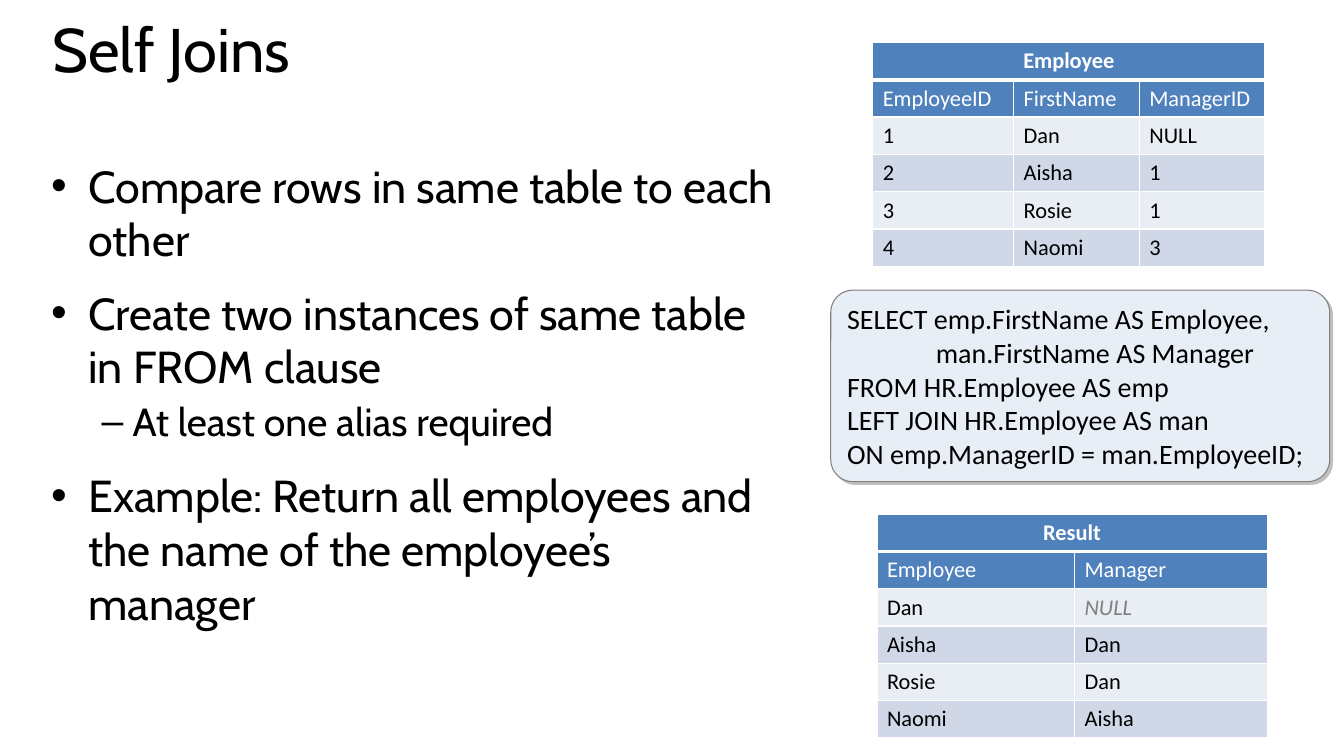
from lxml import etree
from pptx import Presentation
from pptx.dml.color import RGBColor
from pptx.enum.shapes import MSO_SHAPE
from pptx.enum.text import MSO_ANCHOR, MSO_AUTO_SIZE, PP_ALIGN
from pptx.oxml import parse_xml
from pptx.oxml.ns import nsdecls, qn
from pptx.util import Inches, Pt

ROUND = MSO_SHAPE.ROUNDED_RECTANGLE
TOP, MIDDLE = MSO_ANCHOR.TOP, MSO_ANCHOR.MIDDLE
FIXED = MSO_AUTO_SIZE.NONE
LEFT, CENTER = PP_ALIGN.LEFT, PP_ALIGN.CENTER

WIDE, HIGH = Inches(13.33), Inches(7.5)
COLS, ROWS = 32, 18
COLORS = {
    "ink": "000000", "white": "FFFFFF", "head": "4F81BD",
    "light": "E9EDF4", "dark": "D0D8E8", "panel": "E8EEF6",
    "gray": "808080", "shade": "C0C0C0",
}

# Bullet levels: mark, text indent, hang, size, space before, space after
LEVELS = [("•", 0.37, 0.37, 32, 14, 0), ("–", 0.81, 0.31, 28, 3, 3)]
POINTS = [
    (0, "Compare rows in same table to each other"),
    (0, "Create two instances of same table in FROM clause"),
    (1, "At least one alias required"),
    (0, "Example: Return all employees and \vthe name of the employee’s manager"),
]
STAFF = [
    ("EmployeeID", "FirstName", "ManagerID"),
    ("1", "Dan", "NULL"),
    ("2", "Aisha", "1"),
    ("3", "Rosie", "1"),
    ("4", "Naomi", "3"),
]
RESULT = [
    ("Employee", "Manager"),
    ("Dan", "NULL"),
    ("Aisha", "Dan"),
    ("Rosie", "Dan"),
    ("Naomi", "Aisha"),
]
# Query lines with their indent in inches
QUERY = [
    (0, "SELECT emp.FirstName AS Employee,"),
    (0.88, "man.FirstName AS Manager"),
    (0, "FROM HR.Employee AS emp"),
    (0, "LEFT JOIN HR.Employee AS man"),
    (0, "ON emp.ManagerID = man.EmployeeID;"),
]


def grid(col, row, wide, high):
    """Turn grid columns and rows into slide lengths."""
    return [int(n * full / parts) for n, full, parts in (
        (col, WIDE, COLS), (row, HIGH, ROWS),
        (wide, WIDE, COLS), (high, HIGH, ROWS))]


def shade(name):
    return RGBColor.from_string(COLORS[name])


def apply(item, values):
    for name, value in values.items():
        setattr(item, name, value)


def write(para, text, face, size, color="ink", **more):
    para.text = text
    for run in para.runs:
        apply(run.font, {"name": face, "size": Pt(size), **more})
        run.font.color.rgb = shade(color)


def title(slide, box, text):
    head = slide.shapes.title
    apply(head, dict(zip(("left", "top", "width", "height"), box)))
    apply(head.text_frame, {"vertical_anchor": TOP, "auto_size": FIXED,
                            "word_wrap": True})
    para = head.text_frame.paragraphs[0]
    write(para, text, "Cabin", 44)
    apply(para, {"alignment": LEFT, "line_spacing": 0.8})


def lines(frame, count):
    """Give the frame the wanted number of paragraphs."""
    for _ in range(count - 1):
        frame.add_paragraph()
    return frame.paragraphs


def bullets(slide, box, points):
    frame = slide.shapes.add_textbox(*box).text_frame
    frame.word_wrap = True
    for para, (level, text) in zip(lines(frame, len(points)), points):
        mark, indent, hang, size, before, after = LEVELS[level]
        write(para, text, "Cabin", size)
        apply(para, {"level": level, "space_before": Pt(before),
                     "space_after": Pt(after)})
        props = para._p.get_or_add_pPr()
        props.set("marL", str(Inches(indent)))
        props.set("indent", str(-Inches(hang)))
        etree.SubElement(props, qn("a:buFont")).set("typeface", "Arial")
        etree.SubElement(props, qn("a:buChar")).set("char", mark)


def border(cell, top, bottom):
    props = cell._tc.get_or_add_tcPr()
    for side, width in (("L", 1), ("R", 1), ("T", top), ("B", bottom)):
        props.append(parse_xml(
            f'<a:ln{side} {nsdecls("a")} w="{Pt(width)}"><a:solidFill>'
            f'<a:srgbClr val="{COLORS["white"]}"/></a:solidFill></a:ln{side}>'))


def table(slide, box, name, data, shares, faint=()):
    """Draw a banded table under a merged heading; faint cells are gray."""
    width, high = box[2:]
    rows = [(name,) + ("",) * (len(shares) - 1)] + data
    grid_table = slide.shapes.add_table(len(rows), len(shares), *box).table
    for col, share in zip(grid_table.columns, shares):
        col.width = int(width * share / sum(shares))
    for r, texts in enumerate(rows):
        grid_table.rows[r].height = high // len(rows)
        for c, text in enumerate(texts):
            cell = grid_table.cell(r, c)
            border(cell, 3 if r == 1 else 1, 3 if r == 0 else 1)
            cell.fill.solid()
            band = "head" if r < 2 else ("light", "dark")[r % 2]
            cell.fill.fore_color.rgb = shade(band)
            dim = (r, c) in faint
            color = "white" if r < 2 else "gray" if dim else "ink"
            para = cell.text_frame.paragraphs[0]
            write(para, text, "Calibri", 16, color, bold=r == 0, italic=dim)
            para.alignment = LEFT if r else CENTER
    grid_table.cell(0, 0).merge(grid_table.cell(0, len(shares) - 1))


def query(slide, box, code):
    panel = slide.shapes.add_shape(ROUND, *box)
    panel.adjustments[0] = 0.116
    panel.fill.solid()
    panel.fill.fore_color.rgb = shade("panel")
    panel.line.color.rgb = shade("gray")
    panel.line.width = Pt(0.75)
    # Hard shadow towards the lower right
    panel._element.spPr.append(parse_xml(
        f'<a:effectLst {nsdecls("a")}><a:outerShdw blurRad="0" '
        f'dist="{Pt(2.8)}" dir="2700000" algn="ctr" rotWithShape="0">'
        f'<a:srgbClr val="{COLORS["shade"]}"/></a:outerShdw></a:effectLst>'))
    frame = panel.text_frame
    apply(frame, {"vertical_anchor": MIDDLE, "word_wrap": True})
    for para, (indent, text) in zip(lines(frame, len(code)), code):
        write(para, text, "Calibri", 20)
        para.alignment = LEFT
        para._p.get_or_add_pPr().set("marL", str(Inches(indent)))


def main():
    deck = Presentation()
    apply(deck, {"slide_width": WIDE, "slide_height": HIGH})
    slide = deck.slides.add_slide(deck.slide_layouts[5])
    # Left: heading and points
    title(slide, grid(1, 0.48, 30.24, 2.78), "Self Joins")
    bullets(slide, grid(0.98, 3.65, 17.76, 13.9), POINTS)
    # Right: source table, its result and the query between them
    table(slide, grid(20.78, 1.01, 9.34, 5.33), "Employee", STAFF,
          (1.4, 1.25, 1.25))
    table(slide, grid(20.88, 12.24, 9.29, 5.33), "Result", RESULT,
          (1.96, 1.91), {(2, 1)})
    query(slide, grid(19.78, 6.91, 11.88, 4.56), QUERY)
    deck.save("out.pptx")


if __name__ == "__main__":
    main()
